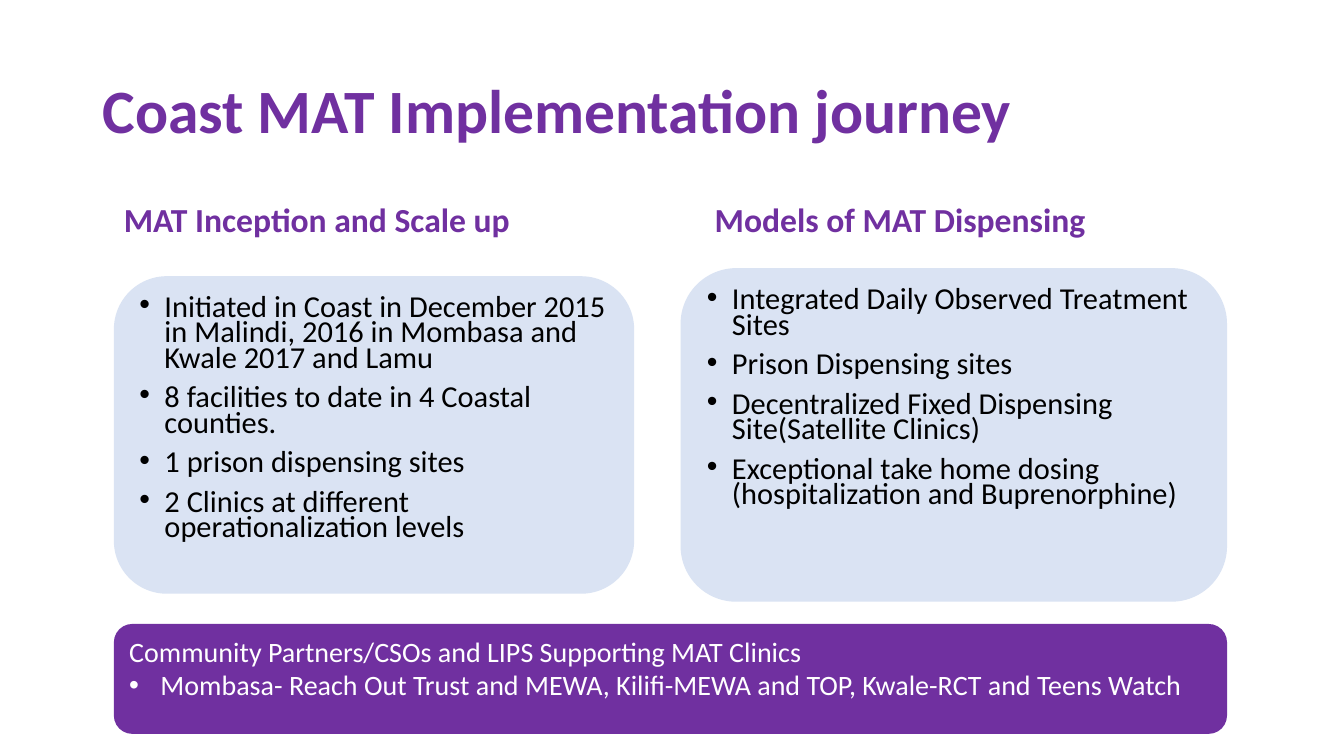
"""Build the Coast MAT implementation journey slide."""
from dataclasses import dataclass

from lxml import etree
from pptx import Presentation
from pptx.dml.color import RGBColor
from pptx.enum.shapes import MSO_SHAPE
from pptx.enum.text import MSO_ANCHOR, PP_ALIGN
from pptx.oxml.ns import qn
from pptx.util import Inches, Pt

ROUND = MSO_SHAPE.ROUNDED_RECTANGLE
TOP, MID, LOW = MSO_ANCHOR.TOP, MSO_ANCHOR.MIDDLE, MSO_ANCHOR.BOTTOM
LEFT = PP_ALIGN.LEFT
PURPLE = RGBColor(0x70, 0x30, 0xA0)
PALE = RGBColor(0xDA, 0xE3, 0xF3)
BLACK = RGBColor(0, 0, 0)
WHITE = RGBColor(255, 255, 255)
FONT = "Calibri"


@dataclass
class Style:
    """Look of a block of text."""
    size: float
    color: RGBColor
    bold: bool = False
    line: float = 1.0
    gap: float = 0
    anchor: MSO_ANCHOR = TOP
    indent: float = 0
    plain: int = 0


@dataclass
class Block:
    """Text in a box, with a rounded panel behind it if filled."""
    box: tuple[float, float, float, float]
    lines: list[str]
    style: Style
    fill: RGBColor | None = None


TITLE = Style(44, PURPLE, True, 0.9, anchor=MID)
HEAD = Style(24, PURPLE, True, 0.9, anchor=LOW)
LIST = Style(21.7, BLACK, line=0.7, gap=10, indent=0.25)
BAR = Style(20, WHITE, indent=0.31, plain=1)

BLOCKS = [
    Block((0.92, 0.4, 11.5, 1.45), ["Coast MAT Implementation journey"], TITLE),
    Block((1.13, 1.84, 5.64, 0.59), ["MAT Inception and Scale up"], HEAD),
    Block((1.13, 2.74, 5.16, 3.15), [
        "Initiated in Coast in December 2015 in Malindi, 2016 in Mombasa and Kwale 2017 and Lamu",
        "8 facilities to date in 4 Coastal counties.",
        "1 prison dispensing sites",
        "2 Clinics at different operationalization levels",
    ], LIST, PALE),
    Block((6.99, 1.84, 5.43, 0.59), ["Models of MAT Dispensing"], HEAD),
    Block((6.75, 2.66, 5.42, 3.31), [
        "Integrated Daily Observed Treatment Sites",
        "Prison Dispensing sites",
        "Decentralized Fixed Dispensing Site(Satellite Clinics)",
        "Exceptional take home dosing (hospitalization and Buprenorphine)",
    ], LIST, PALE),
    Block((1.13, 6.19, 11.04, 1.09), [
        "Community Partners/CSOs and LIPS Supporting MAT Clinics",
        "Mombasa- Reach Out Trust and MEWA, Kilifi-MEWA and TOP, Kwale-RCT and Teens Watch",
    ], BAR, PURPLE),
]


def bullet(para, indent: float) -> None:
    """Give a paragraph a hanging bullet."""
    props = para._p.get_or_add_pPr()
    props.set("marL", str(Inches(indent)))
    props.set("indent", str(-Inches(indent)))
    etree.SubElement(props, qn("a:buFont"), typeface="Arial")
    etree.SubElement(props, qn("a:buChar"), char="•")


def write(frame, lines: list[str], style: Style) -> None:
    """Fill a text frame with styled paragraphs."""
    frame.text = "\n".join(lines)
    frame.word_wrap = True
    frame.vertical_anchor = style.anchor
    for i, para in enumerate(frame.paragraphs):
        para.alignment = LEFT
        para.line_spacing = style.line
        para.space_before = Pt(style.gap if i else 0)
        if style.indent and i >= style.plain:
            bullet(para, style.indent)
        for run in para.runs:
            font = run.font
            font.name, font.size, font.bold = FONT, Pt(style.size), style.bold
            font.color.rgb = style.color


def draw(slide, block: Block) -> None:
    """Draw a block on the slide."""
    box = [Inches(n) for n in block.box]
    if block.fill is None:
        shape = slide.shapes.add_textbox(*box)
    else:
        shape = slide.shapes.add_shape(ROUND, *box)
        shape.shadow.inherit = False
        shape.fill.solid()
        shape.fill.fore_color.rgb = block.fill
        shape.line.fill.background()
    write(shape.text_frame, block.lines, block.style)


def main() -> None:
    """Build and save the deck."""
    deck = Presentation()
    deck.slide_width, deck.slide_height = Inches(13.33), Inches(7.5)
    slide = deck.slides.add_slide(deck.slide_layouts[6])
    for block in BLOCKS:
        draw(slide, block)
    deck.save("out.pptx")


if __name__ == "__main__":
    main()
